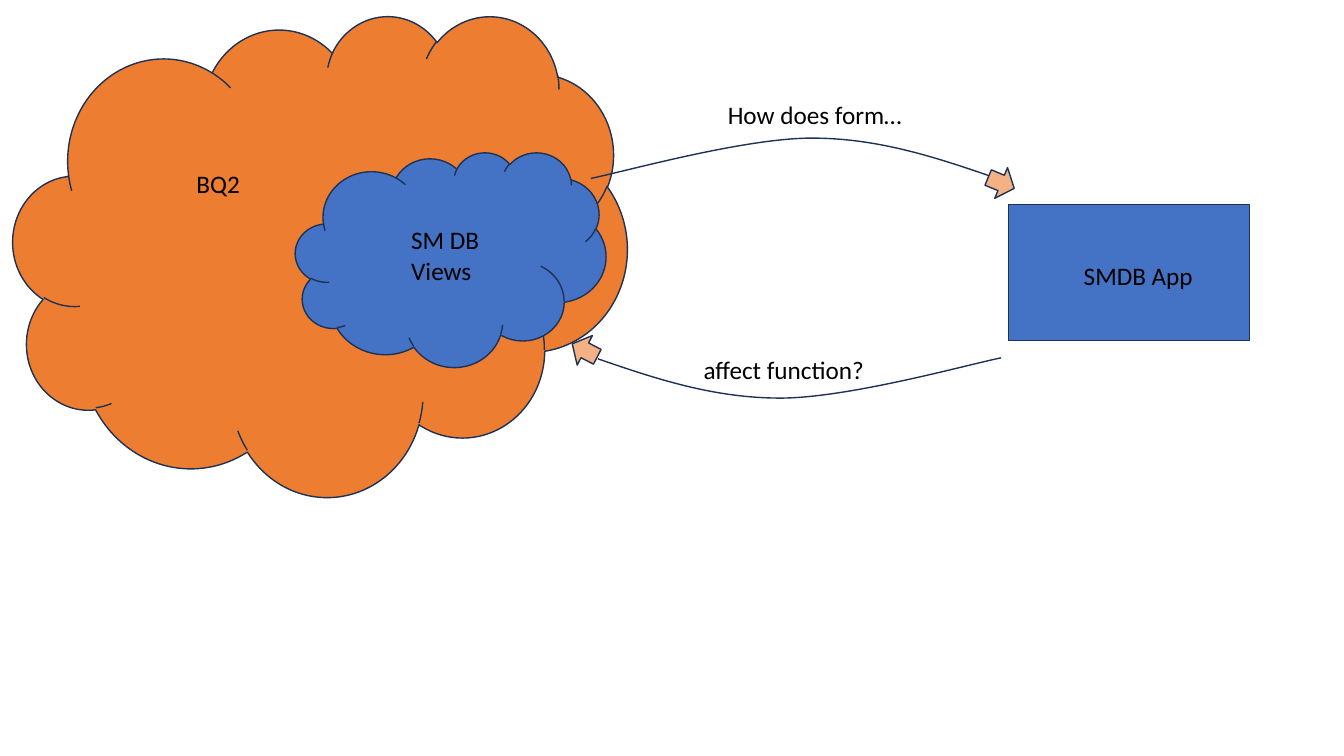
import pptx
import pptx.dml.color
import pptx.enum.shapes
import pptx.enum.text
import pptx.util
from lxml import etree
from pptx.util import Inches

SHAPES = pptx.enum.shapes.MSO_SHAPE
ORANGE, BLUE, PEACH, OUTLINE = "ED7D31", "4472C4", "F4B183", "1E3256"

# Start point, then two cubic segments of three points each
FLOW_CURVE = [(0, 0.01), (0.58, 0.21), (1.15, 0.4), (1.81, 0.4),
              (2.48, 0.4), (3.66, 0.07), (4, 0)]


def color(hex_string):
    return pptx.dml.color.RGBColor.from_string(hex_string)


class Diagram:
    font_name = "Calibri"
    font_size = 18

    def __init__(self, slide):
        self.slide = slide

    def outline(self, shape):
        shape.shadow.inherit = False
        shape.line.color.rgb = color(OUTLINE)
        shape.line.width = pptx.util.Pt(1)

    def block(self, kind, left, top, width, height, fill, rotation=0):
        shape = self.slide.shapes.add_shape(
            kind, Inches(left), Inches(top), Inches(width), Inches(height))
        shape.fill.solid()
        shape.fill.fore_color.rgb = color(fill)
        shape.rotation = rotation
        self.outline(shape)

    def curve(self, left, top, points, rotation=0):
        page_points = [(Inches(left + x), Inches(top + y)) for x, y in points]
        builder = self.slide.shapes.build_freeform(*page_points[0])
        builder.add_line_segments(page_points[1:], close=False)
        shape = builder.convert_to_shape()
        shape.fill.background()
        shape.rotation = rotation
        self.outline(shape)
        # Turn each three line points into one cubic segment
        namespace = pptx.oxml.ns.nsdecls("a")
        lines = shape.element.findall(".//" + pptx.oxml.ns.qn("a:lnTo"))
        for start in range(0, len(lines), 3):
            cubic = pptx.oxml.parse_xml(f"<a:cubicBezTo {namespace}/>")
            lines[start].addprevious(cubic)
            for line in lines[start:start + 3]:
                cubic.append(line[0])
                line.getparent().remove(line)

    def label(self, text, left, top, width, height=0.4):
        box = self.slide.shapes.add_textbox(
            Inches(left), Inches(top), Inches(width), Inches(height))
        frame = box.text_frame
        frame.word_wrap = True
        frame.auto_size = pptx.enum.text.MSO_AUTO_SIZE.SHAPE_TO_FIT_TEXT
        paragraph = frame.paragraphs[0]
        paragraph.text = text
        paragraph.font.name = self.font_name
        paragraph.font.size = pptx.util.Pt(self.font_size)
        paragraph.font.color.rgb = color("000000")


def main():
    presentation = pptx.Presentation()
    presentation.slide_width = Inches(13.33)
    presentation.slide_height = Inches(7.5)
    diagram = Diagram(presentation.slides.add_slide(presentation.slide_layouts[6]))

    # Database clouds
    diagram.block(SHAPES.CLOUD, 0.13, 0.15, 6.09, 4.77, ORANGE)
    diagram.block(SHAPES.CLOUD, 2.93, 1.51, 3.08, 2.13, BLUE)

    # Flow back to the clouds, and the same curve turned for the flow out
    diagram.curve(5.93, 3.55, FLOW_CURVE)
    diagram.curve(5.86, 1.37, FLOW_CURVE, rotation=180)

    # Flow and view labels
    diagram.label("How does form…", 7.12, 0.94, 2.16)
    diagram.label("affect function?", 6.88, 3.47, 2.16)
    diagram.label("SM DB Views", 3.98, 2.18, 1.19, 0.71)

    # Arrowheads of the flows
    diagram.block(SHAPES.RIGHT_ARROW, 9.79, 1.65, 0.28, 0.33, PEACH, 22.6)
    diagram.block(SHAPES.RIGHT_ARROW, 5.66, 3.31, 0.28, 0.33, PEACH, 207.3)

    # Application and remaining labels
    diagram.block(SHAPES.RECTANGLE, 10, 2.03, 2.39, 1.35, BLUE)
    diagram.label("SMDB App", 10.65, 2.53, 1.55)
    diagram.label("BQ2", 1.85, 1.62, 1.19)

    presentation.save("out.pptx")


if __name__ == "__main__":
    main()
